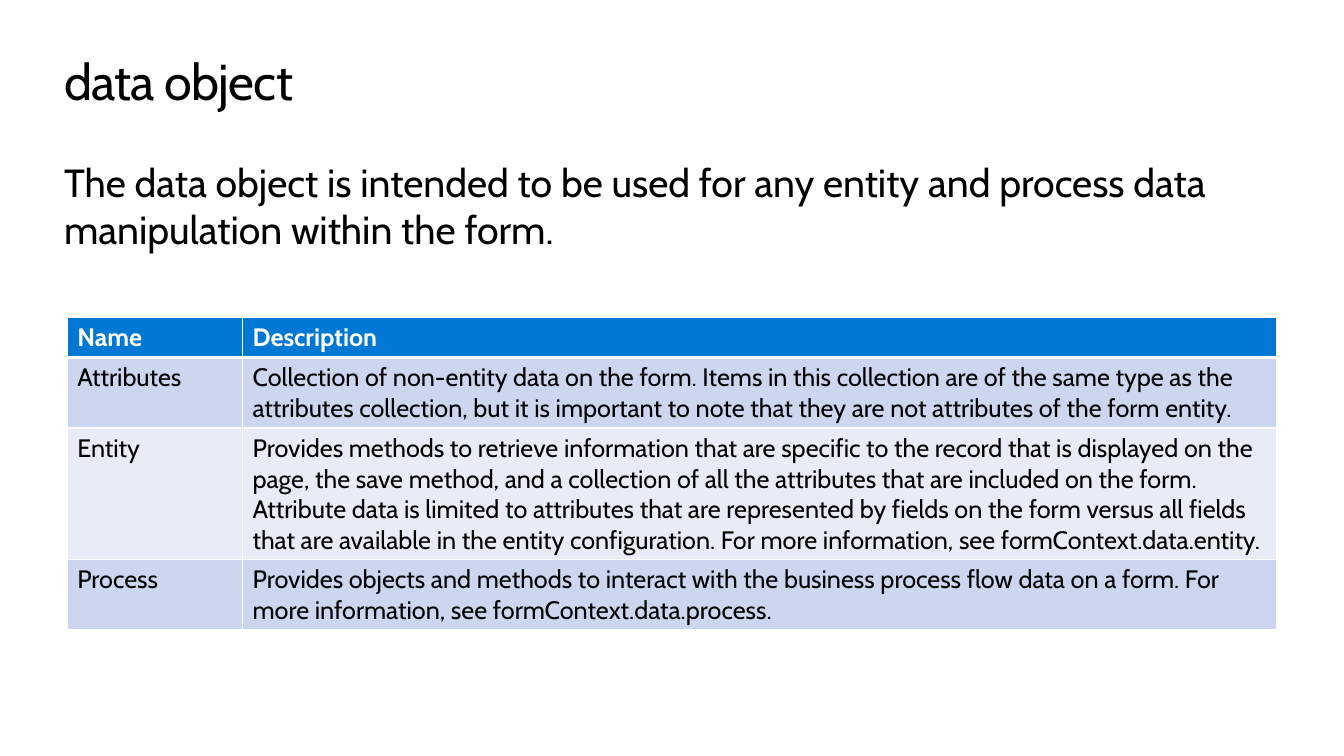
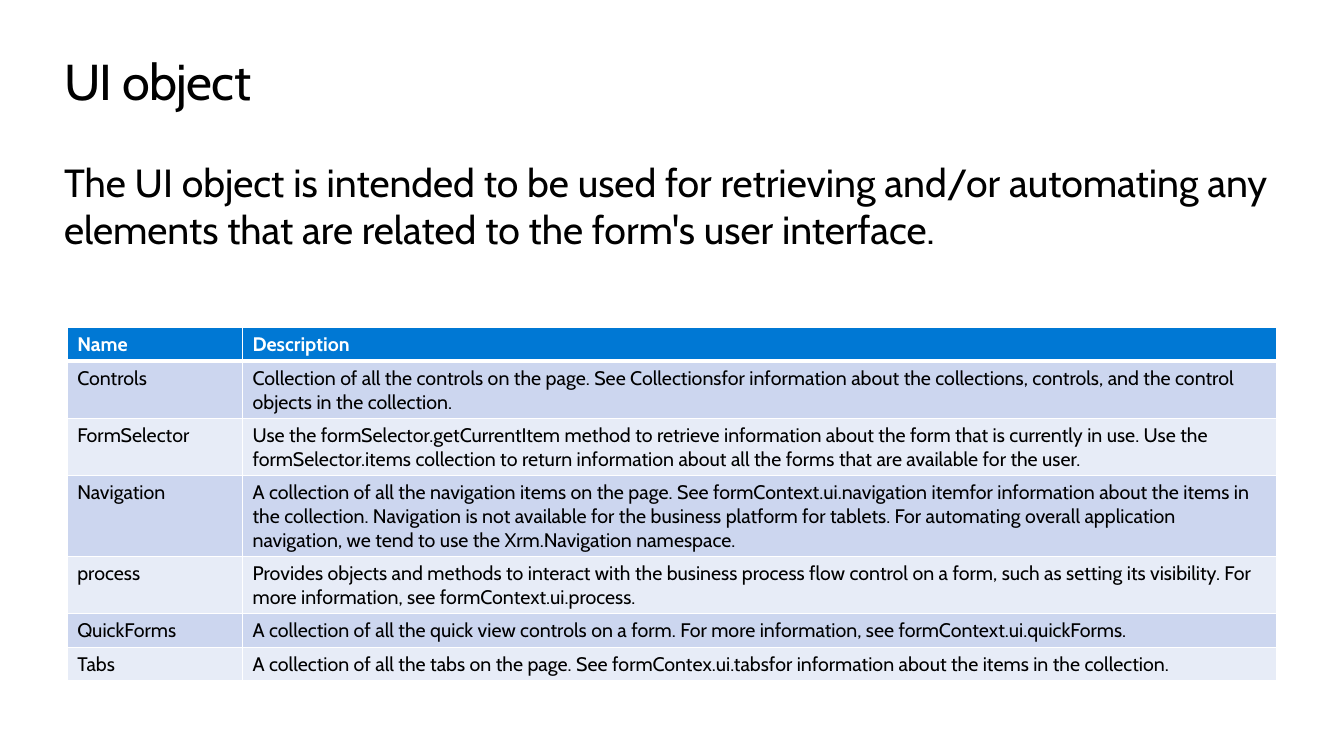
"""Builds two slides that each introduce a form object and list its members in a table."""
from dataclasses import dataclass

from lxml import etree
from pptx import Presentation
from pptx.dml.color import RGBColor
from pptx.enum.text import MSO_ANCHOR, MSO_AUTO_SIZE, PP_ALIGN
from pptx.oxml.ns import qn
from pptx.util import Pt

EMU_PER_PX = 9525
POINT = 12700
LEFT = PP_ALIGN.LEFT
TOP = MSO_ANCHOR.TOP
GROW = MSO_AUTO_SIZE.SHAPE_TO_FIT_TEXT
FONT = "Cabin"
COLORS = {
    "text": "000000",
    "header_text": "FFFFFF",
    "header": "0078D4",
    "odd_row": "CCD6EF",
    "even_row": "E7ECF7",
    "border": "FFFFFF",
}


@dataclass(frozen=True)
class Area:
    """A rectangle in px."""
    left: int
    top: int
    width: int
    height: int


@dataclass(frozen=True)
class Member:
    """A table row, with the number of lines its description takes."""
    name: str
    description: str
    lines: int = 1


@dataclass(frozen=True)
class ObjectPage:
    """The content of one slide."""
    title: str
    summary: str
    table_top: int
    table_size: int
    members: tuple[Member, ...]


SLIDE = Area(0, 0, 1280, 720)
TITLE = Area(61, 48, 1157, 58)
SUMMARY = Area(61, 151, 1157, 89)
TABLE_LEFT = 64
COLUMN_WIDTHS = (167, 985)
CELL_PADDING = 9
HEADER = Member("Name", "Description")

PAGES = (
    ObjectPage(
        "data object",
        "The data object is intended to be used for any entity and process data "
        "manipulation within the form.",
        302,
        18,
        (
            Member(
                "Attributes",
                "Collection of non-entity data on the form. Items in this collection are of "
                "the same type as the attributes collection, but it is important to note that "
                "they are not attributes of the form entity.",
                2,
            ),
            Member(
                "Entity",
                "Provides methods to retrieve information that are specific to the record that "
                "is displayed on the page, the save method, and a collection of all the "
                "attributes that are included on the form. Attribute data is limited to "
                "attributes that are represented by fields on the form versus all fields that "
                "are available in the entity configuration. For more information, see "
                "formContext.data.entity.",
                4,
            ),
            Member(
                "Process",
                "Provides objects and methods to interact with the business process flow data "
                "on a form. For more information, see formContext.data.process.",
                2,
            ),
        ),
    ),
    ObjectPage(
        "UI object",
        "The UI object is intended to be used for retrieving and/or automating any "
        "elements that are related to the form's user interface.",
        312,
        14,
        (
            Member(
                "Controls",
                "Collection of all the controls on the page. See Collectionsfor information "
                "about the collections, controls, and the control objects in the collection.",
                2,
            ),
            Member(
                "FormSelector",
                "Use the formSelector.getCurrentItem method to retrieve information about the "
                "form that is currently in use. Use the formSelector.items collection to "
                "return information about all the forms that are available for the user.",
                2,
            ),
            Member(
                "Navigation",
                "A collection of all the navigation items on the page. See "
                "formContext.ui.navigation itemfor information about the items in the "
                "collection. Navigation is not available for the business platform for "
                "tablets. For automating overall application navigation, we tend to use the "
                "Xrm.Navigation namespace.",
                3,
            ),
            Member(
                "process",
                "Provides objects and methods to interact with the business process flow "
                "control on a form, such as setting its visibility. For more information, see "
                "formContext.ui.process.",
                2,
            ),
            Member(
                "QuickForms",
                "A collection of all the quick view controls on a form. For more information, "
                "see formContext.ui.quickForms.",
            ),
            Member(
                "Tabs",
                "A collection of all the tabs on the page. See formContex.ui.tabsfor "
                "information about the items in the collection.",
            ),
        ),
    ),
)


def px(length: int) -> int:
    """Turn px into EMU."""
    return length * EMU_PER_PX


def color(name: str) -> RGBColor:
    """Look up a named colour."""
    return RGBColor.from_string(COLORS[name])


def write(frame, text: str, size: int, ink: str = "text", bold: bool = False):
    """Write one left-aligned span into a text frame and return it."""
    para = frame.paragraphs[0]
    para.alignment = LEFT
    span = para.add_run()
    span.text = text
    span.font.name = FONT
    span.font.size = Pt(size)
    span.font.bold = bold
    span.font.color.rgb = color(ink)
    return span


def fit_frame(box, area: Area):
    """Place a box and give its text frame the shared settings."""
    box.left, box.top = px(area.left), px(area.top)
    box.width, box.height = px(area.width), px(area.height)
    frame = box.text_frame
    frame.margin_left = frame.margin_right = frame.margin_top = frame.margin_bottom = 0
    frame.word_wrap = True
    frame.auto_size = GROW
    frame.vertical_anchor = TOP
    return frame


def add_title(page, text: str) -> None:
    """Fill the title placeholder."""
    span = write(fit_frame(page.shapes.title, TITLE), text, 36)
    span.font._element.set("spc", "-50")


def add_summary(page, text: str) -> None:
    """Add the introductory text under the title."""
    box = page.shapes.add_textbox(0, 0, 0, 0)
    write(fit_frame(box, SUMMARY), text, 28)


def set_borders(cell, top: int, bottom: int) -> None:
    """Draw the cell borders, with widths in points."""
    properties = cell._tc.get_or_add_tcPr()
    for side, width in (("L", 1), ("R", 1), ("T", top), ("B", bottom)):
        line = etree.SubElement(properties, qn(f"a:ln{side}"), w=str(width * POINT))
        fill = etree.SubElement(line, qn("a:solidFill"))
        etree.SubElement(fill, qn("a:srgbClr"), val=COLORS["border"])


def add_member_table(page, content: ObjectPage) -> None:
    """Add the banded table of members."""
    rows = (HEADER, *content.members)
    line_height = content.table_size * 8 // 5
    heights = [CELL_PADDING + member.lines * line_height for member in rows]
    table = page.shapes.add_table(
        len(rows), len(COLUMN_WIDTHS), px(TABLE_LEFT), px(content.table_top),
        px(sum(COLUMN_WIDTHS)), px(sum(heights)),
    ).table
    for column, width in zip(table.columns, COLUMN_WIDTHS):
        column.width = px(width)
    for index, member in enumerate(rows):
        table.rows[index].height = px(heights[index])
        is_header = index == 0
        band = "header" if is_header else "odd_row" if index % 2 else "even_row"
        ink = "header_text" if is_header else "text"
        for cell, text in zip(table.rows[index].cells, (member.name, member.description)):
            set_borders(cell, 3 if index == 1 else 1, 3 if is_header else 1)
            cell.fill.solid()
            cell.fill.fore_color.rgb = color(band)
            write(cell.text_frame, text, content.table_size, ink, is_header)


def main() -> None:
    """Build and save the deck."""
    deck = Presentation()
    deck.slide_width, deck.slide_height = px(SLIDE.width), px(SLIDE.height)
    title_only = deck.slide_layouts.get_by_name("Title Only")
    for content in PAGES:
        page = deck.slides.add_slide(title_only)
        add_title(page, content.title)
        add_summary(page, content.summary)
        add_member_table(page, content)
    deck.save("out.pptx")


if __name__ == "__main__":
    main()
